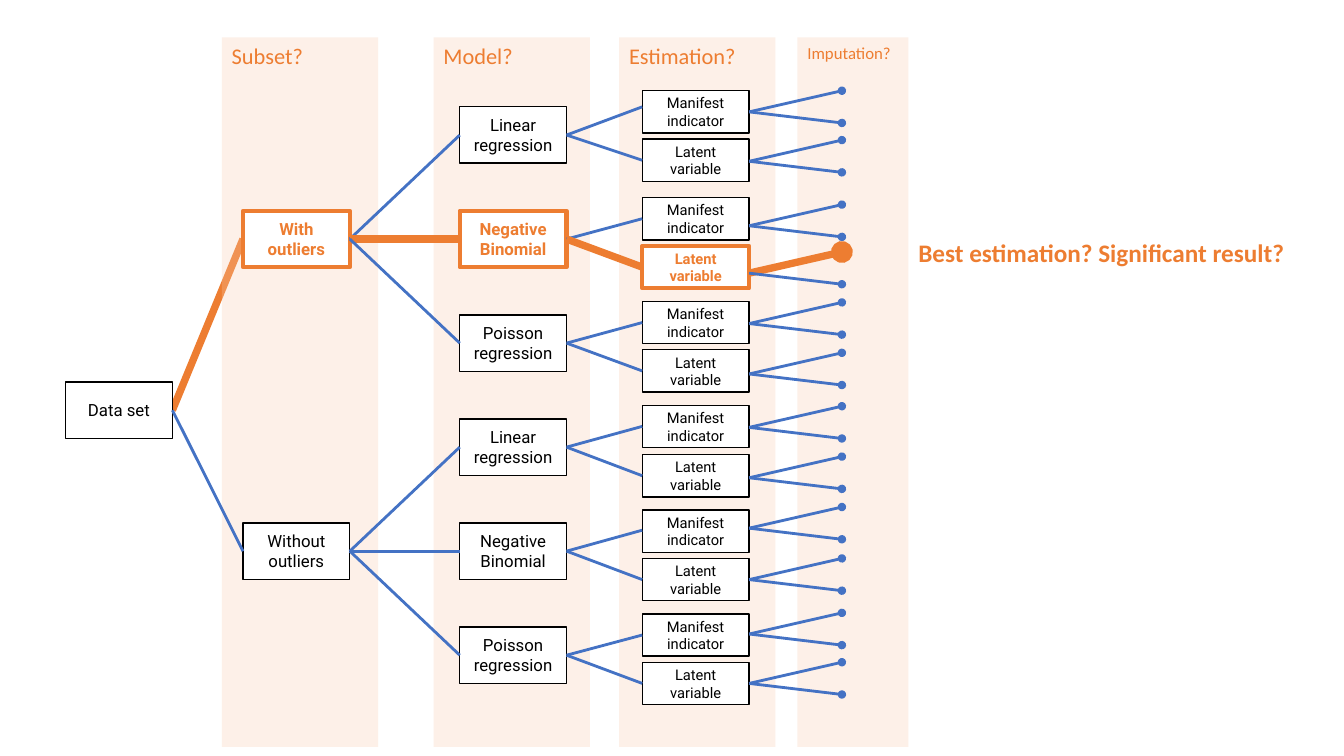
import pptx
import pptx.dml.color
import pptx.enum.shapes
import pptx.enum.text
import pptx.oxml.ns
import pptx.util
import lxml.etree

Inches = pptx.util.Inches
ORANGE, BLUE, BLACK, WHITE, PEACH = "ED7D31", "4472C4", "000000", "FFFFFF", "F8CBAD"
BOX_WIDTH, BOX_HEIGHT, SMALL_HEIGHT = 1.06, 0.56, 0.42
DATA_LEFT, SUBSET_LEFT, MODEL_LEFT, ESTIMATION_LEFT = 0.65, 2.41, 4.56, 6.37
DOT_X = 8.35

deck = pptx.Presentation()
deck.slide_width, deck.slide_height = Inches(13.33), Inches(7.5)
page = deck.slides.add_slide(deck.slide_layouts[6])


def rgb(value):
    """Turn a hex string into a colour."""
    return pptx.dml.color.RGBColor.from_string(value)


def add_child(parent, tag, **attributes):
    """Append a DrawingML element to a parent element."""
    return lxml.etree.SubElement(parent, pptx.oxml.ns.qn(tag), attributes)


def add_text(shape, text, size, font="Calibri", color=ORANGE, bold=False, centered=False):
    """Write one formatted paragraph into a shape."""
    frame = shape.text_frame
    frame.word_wrap = True
    anchors, alignments = pptx.enum.text.MSO_ANCHOR, pptx.enum.text.PP_ALIGN
    frame.vertical_anchor = anchors.MIDDLE if centered else anchors.TOP
    para = frame.paragraphs[0]
    para.alignment = alignments.CENTER if centered else alignments.LEFT
    span = para.add_run()
    span.text = text
    span.font.name, span.font.size, span.font.bold = font, pptx.util.Pt(size), bold
    span.font.color.rgb = rgb(color)


def add_rectangle(left, top, width, height, fill):
    """Add a plain filled rectangle without shadow."""
    shape = page.shapes.add_shape(pptx.enum.shapes.MSO_SHAPE.RECTANGLE,
                                  Inches(left), Inches(top), Inches(width), Inches(height))
    shape.shadow.inherit = False
    shape.fill.solid()
    shape.fill.fore_color.rgb = rgb(fill)
    return shape


def add_box(left, top, text, chosen=False, height=BOX_HEIGHT, size=12):
    """Add one choice of the tree, in orange when it is chosen."""
    color = ORANGE if chosen else BLACK
    box = add_rectangle(left, top, BOX_WIDTH, height, WHITE)
    box.line.color.rgb = rgb(color)
    box.line.width = pptx.util.Pt(3 if chosen else 1)
    add_text(box, text, size, font="Roboto", color=color, bold=chosen, centered=True)


def add_link(start_x, start_y, end_x, end_y, chosen=False, dot=False):
    """Add one branch, thick and orange when chosen, with a dot at its start on request."""
    link = page.shapes.add_connector(pptx.enum.shapes.MSO_CONNECTOR.STRAIGHT, Inches(start_x),
                                     Inches(start_y), Inches(end_x), Inches(end_y))
    link.line.color.rgb = rgb(ORANGE if chosen else BLUE)
    link.line.width = pptx.util.Pt(5.25 if chosen else 2)
    if dot:
        add_child(link.line._get_or_add_ln(), "a:headEnd", type="oval")
    add_child(link._element.spPr, "a:effectLst")


# Levels of the tree
data_top = 3.79
data_middle = data_top + BOX_HEIGHT / 2
model_names = ["Linear regression", "Negative Binomial", "Poisson regression"]
model_tops = [1.06 + 5.16 * index / 5 for index in range(6)]
model_middles = [top + BOX_HEIGHT / 2 for top in model_tops]
subset_names = ["With outliers", "Without outliers"]
subset_tops = [model_tops[1], model_tops[4]]
subset_middles = [model_middles[1], model_middles[4]]
estimation_names = ["Manifest indicator", "Latent variable"]
# Box top, end of the incoming branch, start of the outgoing branches
estimations = [(0.9, 1.06, 1.11), (1.38, 1.59, 1.6), (1.96, 2.17, 2.24), (2.44, 2.65, 2.71),
               (2.99, 3.2, 3.21), (3.47, 3.68, 3.71), (4.02, 4.23, 4.24), (4.51, 4.72, 4.74),
               (5.06, 5.26, 5.24), (5.54, 5.75, 5.75), (6.09, 6.3, 6.29), (6.57, 6.78, 6.78)]
CHOSEN_SUBSET, CHOSEN_MODEL, CHOSEN_ESTIMATION = 0, 1, 3

# The chosen first branch lies behind the column bands
add_link(DATA_LEFT + BOX_WIDTH, data_middle, SUBSET_LEFT, subset_middles[0], chosen=True)

bands = [("Model?", 4.3, 1.55, 16), ("Estimation?", 6.14, 1.55, 16),
         ("Imputation?", 7.91, 1.1, 12), ("Subset?", 2.2, 1.55, 16)]
for heading, left, width, size in bands:
    band = add_rectangle(left, 0.37, width, 7.04, PEACH)
    band.line.fill.background()
    fill_color = band._element.spPr.find(".//" + pptx.oxml.ns.qn("a:srgbClr"))
    add_child(fill_color, "a:alpha", val="28000")
    add_text(band, heading, size)

# Boxes
add_box(DATA_LEFT, data_top, "Data set")
for index, top in enumerate(subset_tops):
    add_box(SUBSET_LEFT, top, subset_names[index], index == CHOSEN_SUBSET)
for index, top in enumerate(model_tops):
    add_box(MODEL_LEFT, top, model_names[index % 3], index == CHOSEN_MODEL)
for index, (top, _, _) in enumerate(estimations):
    add_box(ESTIMATION_LEFT, top, estimation_names[index % 2], index == CHOSEN_ESTIMATION,
            height=SMALL_HEIGHT, size=10.5)

# Branches
add_link(DATA_LEFT + BOX_WIDTH, data_middle, SUBSET_LEFT, subset_middles[1])
for index, middle in enumerate(model_middles):
    add_link(SUBSET_LEFT + BOX_WIDTH, subset_middles[index // 3], MODEL_LEFT, middle,
             index == CHOSEN_MODEL)
for index, (_, link_y, _) in enumerate(estimations):
    add_link(ESTIMATION_LEFT, link_y, MODEL_LEFT + BOX_WIDTH, model_middles[index // 2],
             index == CHOSEN_ESTIMATION)
for index, (_, _, hub_y) in enumerate(estimations):
    for offset in (-0.21, 0.11):
        add_link(DOT_X, hub_y + offset, ESTIMATION_LEFT + BOX_WIDTH, hub_y,
                 index == CHOSEN_ESTIMATION and offset < 0, dot=True)

question = page.shapes.add_textbox(Inches(9.01), Inches(2.31), Inches(4.05), Inches(0.4))
add_text(question, "Best estimation? Significant result?", 18, bold=True)

deck.save("out.pptx")
